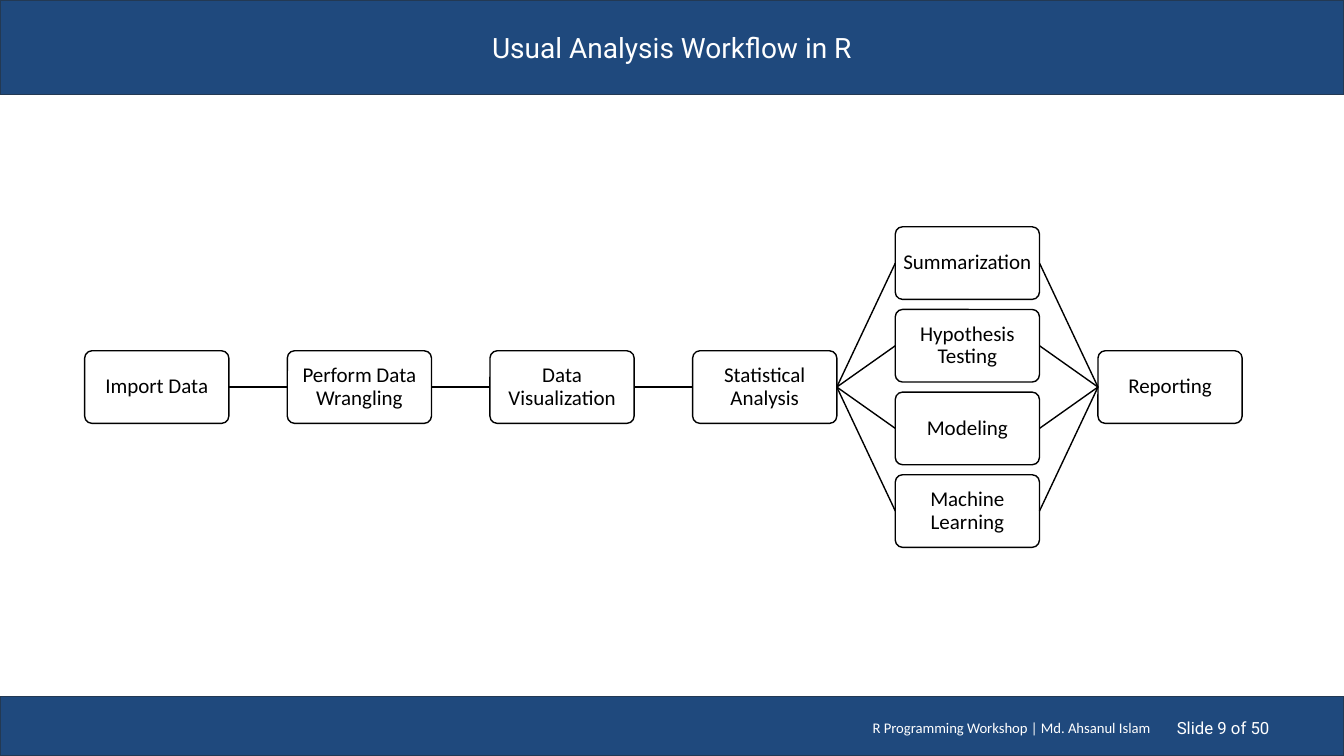
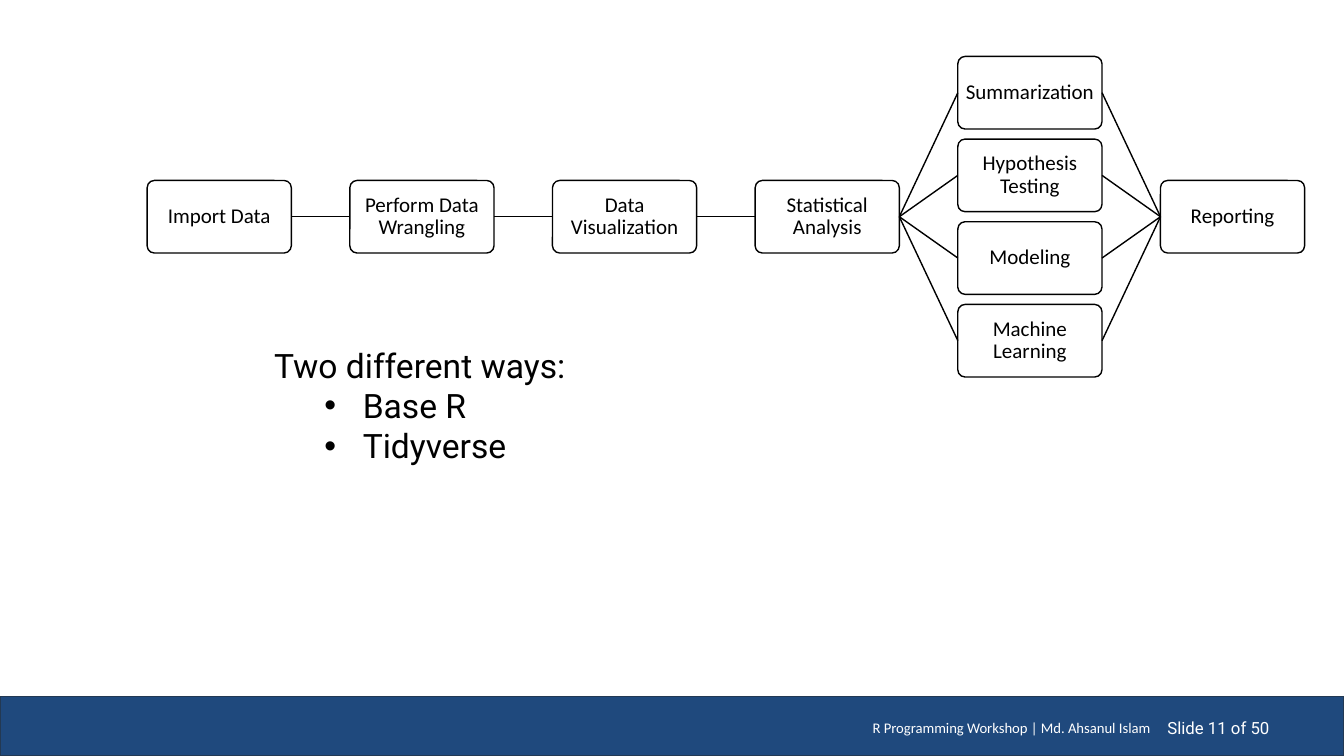
from lxml import etree
from pptx import Presentation
from pptx.dml.color import RGBColor
from pptx.enum.shapes import MSO_CONNECTOR, MSO_SHAPE
from pptx.enum.text import MSO_ANCHOR, PP_ALIGN
from pptx.oxml.ns import qn
from pptx.util import Inches, Pt

NAVY = RGBColor(0x1F, 0x49, 0x7D)
NAVY_EDGE = RGBColor(0x23, 0x39, 0x53)
WHITE = RGBColor(0xFF, 0xFF, 0xFF)
BLACK = RGBColor(0, 0, 0)
BODY_FONT, HEAD_FONT = "Calibri", "Roboto"

SLIDE_W, SLIDE_H = 13.33, 7.5
TITLE_H, FOOTER_H = 0.94, 0.59
BOX_W, BOX_H = 1.43, 0.72
STEP_PITCH, BRANCH_PITCH = 2.01, 0.82
LEFT, RIGHT = 1, 3

STEPS = ["Import Data", "Perform Data Wrangling", "Data Visualization",
         "Statistical Analysis"]
BRANCHES = ["Summarization", "Hypothesis Testing", "Modeling", "Machine Learning"]
LAST_STEP = "Reporting"


def place(shape, x, y, w, h):
    shape.left, shape.top = Inches(x), Inches(y)
    shape.width, shape.height = Inches(w), Inches(h)


def paint(shape, fill, line):
    shape.fill.solid()
    shape.fill.fore_color.rgb = fill
    shape.line.color.rgb = line
    shape.line.width = Pt(1)


def write(shape, *lines, size, font=BODY_FONT, color=BLACK, align=PP_ALIGN.CENTER,
          anchor=MSO_ANCHOR.MIDDLE, spacing=1.0, insets=(0.1, 0.05, 0.1, 0.05),
          bullets_from=None):
    """Fill a shape with one paragraph per line, bulleted from the given index."""
    tf = shape.text_frame
    tf.word_wrap = True
    tf.vertical_anchor = anchor
    tf.margin_left, tf.margin_top, tf.margin_right, tf.margin_bottom = map(Inches, insets)
    for i, line in enumerate(lines):
        p = tf.paragraphs[0] if i == 0 else tf.add_paragraph()
        p.alignment = align
        p.line_spacing = spacing
        if bullets_from is not None and i >= bullets_from:
            add_bullet(p)
        r = p.add_run()
        r.text = line
        r.font.size, r.font.name = Pt(size), font
        r.font.color.rgb = color


def add_bullet(p):
    p.level = 1
    pPr = p._p.get_or_add_pPr()
    pPr.set("marL", str(Inches(0.88)))
    pPr.set("indent", str(Inches(-0.38)))
    etree.SubElement(pPr, qn("a:buFont")).set("typeface", "Arial")
    etree.SubElement(pPr, qn("a:buChar")).set("char", "•")


def add_text(s, x, y, w, h, *lines, **fmt):
    tb = s.shapes.add_textbox(Inches(x), Inches(y), Inches(w), Inches(h))
    write(tb, *lines, **fmt)


def add_title(s, text):
    title = s.shapes.title
    place(title, 0, 0, SLIDE_W, TITLE_H)
    paint(title, NAVY, NAVY_EDGE)
    write(title, text, size=20, font=HEAD_FONT, color=WHITE)


def add_footer(s, number):
    band = s.shapes.add_shape(MSO_SHAPE.RECTANGLE, 0, Inches(SLIDE_H - FOOTER_H),
                              Inches(SLIDE_W), Inches(FOOTER_H))
    band.shadow.inherit = False
    paint(band, NAVY, NAVY_EDGE)
    add_text(s, 5.99, 7.02, 5.52, 0.4, "R Programming Workshop | Md. Ahsanul Islam",
             size=10.5, color=WHITE, align=PP_ALIGN.RIGHT)
    add_text(s, 11.51, 7.02, 1.18, 0.4, f"Slide {number} of 50", size=12,
             font=HEAD_FONT, color=WHITE, align=PP_ALIGN.RIGHT,
             insets=(0.05, 0.05, 0.1, 0.05))


def add_box(s, text, x, mid_y):
    box = s.shapes.add_shape(MSO_SHAPE.ROUNDED_RECTANGLE, Inches(x),
                             Inches(mid_y - BOX_H / 2), Inches(BOX_W), Inches(BOX_H))
    box.adjustments[0] = 0.1
    box.shadow.inherit = False
    paint(box, WHITE, BLACK)
    write(box, text, size=15, spacing=0.9, insets=(0.03,) * 4)
    return box


def link(s, start, end):
    """Join the right side of one box to the left side of another."""
    line = s.shapes.add_connector(MSO_CONNECTOR.STRAIGHT, 0, 0, 0, 0)
    line.begin_connect(start, RIGHT)
    line.end_connect(end, LEFT)
    line.line.color.rgb = BLACK
    line.line.width = Pt(1)
    etree.SubElement(line._element.spPr, qn("a:effectLst"))


def add_workflow(s, x, mid_y):
    """Draw a row of steps that fans out to branches and meets in the last step."""
    columns = [x + i * STEP_PITCH for i in range(len(STEPS) + 2)]
    steps = [add_box(s, text, cx, mid_y) for text, cx in zip(STEPS, columns)]
    top = mid_y - BRANCH_PITCH * (len(BRANCHES) - 1) / 2
    branches = [add_box(s, text, columns[-2], top + i * BRANCH_PITCH)
                for i, text in enumerate(BRANCHES)]
    last = add_box(s, LAST_STEP, columns[-1], mid_y)
    for start, end in zip(steps, steps[1:]):
        link(s, start, end)
    for branch in branches:
        link(s, steps[-1], branch)
        link(s, branch, last)


def main():
    prs = Presentation()
    prs.slide_width, prs.slide_height = Inches(SLIDE_W), Inches(SLIDE_H)
    title_only, blank = prs.slide_layouts[5], prs.slide_layouts[6]

    s = prs.slides.add_slide(title_only)
    add_title(s, "Usual Analysis Workflow in R")
    add_workflow(s, 0.84, 3.84)
    add_footer(s, 9)

    s = prs.slides.add_slide(blank)
    add_workflow(s, 1.46, 2.15)
    add_footer(s, 11)
    add_text(s, 2.62, 3.37, 10.13, 1.31, "Two different ways:", "Base R", "Tidyverse",
             size=24, font=HEAD_FONT, align=PP_ALIGN.LEFT, anchor=MSO_ANCHOR.TOP,
             bullets_from=1)

    prs.save("out.pptx")


if __name__ == "__main__":
    main()
